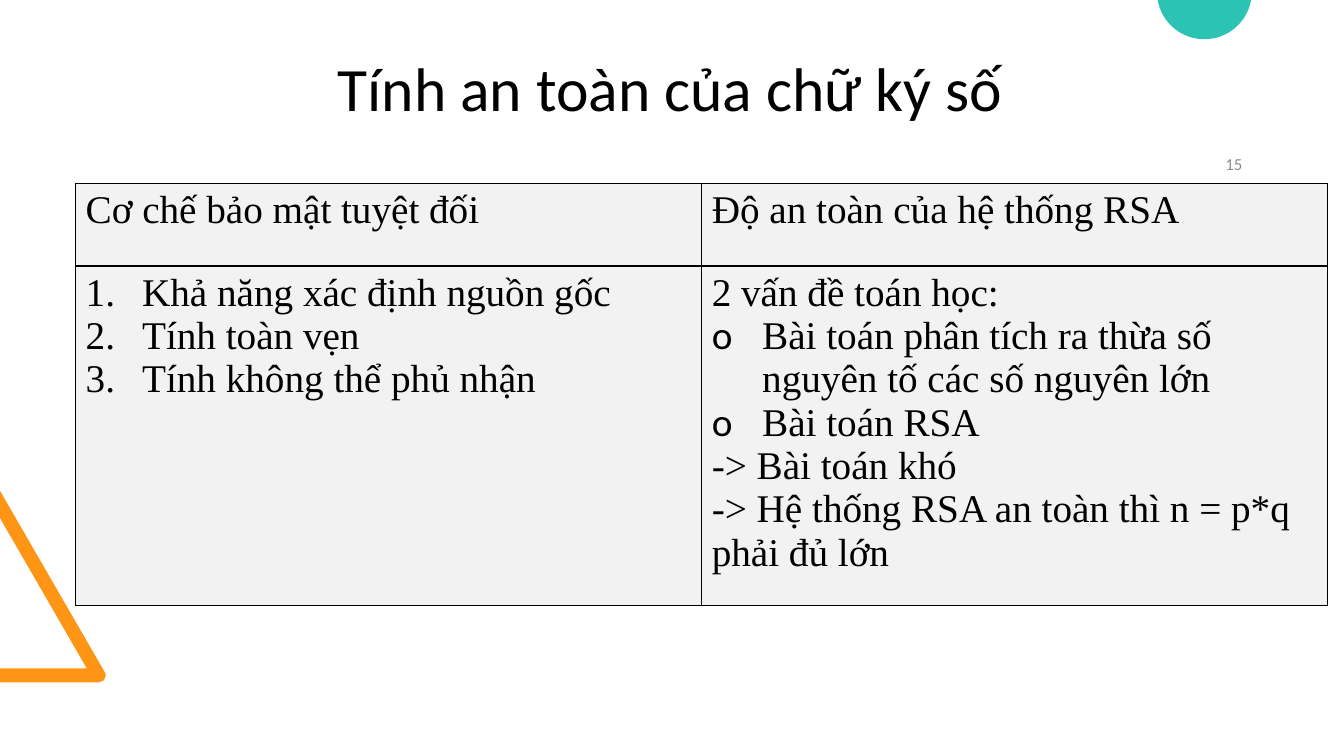
"""Builds the slide on the security of digital signatures."""
from math import cos, radians, sin

from lxml.etree import SubElement
from pptx import Presentation
from pptx.dml.color import RGBColor
from pptx.enum.text import MSO_ANCHOR, PP_ALIGN
from pptx.oxml.ns import qn
from pptx.util import Inches, Pt

ORANGE = RGBColor(0xFF, 0x95, 0x14)
TEAL = RGBColor(0x2C, 0xC3, 0xB4)
BLACK = RGBColor(0x00, 0x00, 0x00)
GRAY = RGBColor(0x8C, 0x8C, 0x8C)
PALE = RGBColor(0xF2, 0xF2, 0xF2)

deck = Presentation()
deck.slide_width = Inches(13.33)
deck.slide_height = Inches(7.5)
slide = deck.slides.add_slide(deck.slide_layouts[5])
shapes = slide.shapes


def style(para, size, face, color):
    para.font.size = Pt(size)
    para.font.name = face
    para.font.color.rgb = color


frame = [(0, 6.77), (0, 6.63), (0.86, 6.63), (0, 5.14), (0, 4.87),
         (1.04, 6.67), (1.05, 6.7), (1.03, 6.75), (0.98, 6.77)]
arc = [(11.945 + 0.47 * cos(radians(turn)), 0.47 * sin(radians(turn)) - 0.08)
       for turn in range(10, 171, 5)]
for points, color in ((frame, ORANGE), (arc, TEAL)):
    dots = [(Inches(x), Inches(y)) for x, y in points]
    pen = shapes.build_freeform(*dots[0])
    pen.add_line_segments(dots[1:], close=True)
    form = pen.convert_to_shape()
    form.shadow.inherit = False
    form.fill.solid()
    form.fill.fore_color.rgb = color
    form.line.fill.background()

title = shapes.title
title.left, title.top = Inches(3.25), Inches(0.18)
title.width, title.height = Inches(7.86), Inches(1.45)
title.text_frame.vertical_anchor = MSO_ANCHOR.MIDDLE
para = title.text_frame.paragraphs[0]
para.text = "Tính an toàn của chữ ký số"
para.alignment = PP_ALIGN.LEFT
para.line_spacing = 0.9
style(para, 44, "Calibri", BLACK)

number = shapes.add_textbox(Inches(9.42), Inches(1.43), Inches(3), Inches(0.4))
number.text_frame.word_wrap = True
number.text_frame.vertical_anchor = MSO_ANCHOR.MIDDLE
para = number.text_frame.paragraphs[0]
para.text = "15"
para.alignment = PP_ALIGN.RIGHT
style(para, 12, "Calibri", GRAY)

rows = [
    [[("Cơ chế bảo mật tuyệt đối", "")],
     [("Độ an toàn của hệ thống RSA", "")]],
    [[("Khả năng xác định nguồn gốc", "1."),
      ("Tính toàn vẹn", "1."),
      ("Tính không thể phủ nhận", "1.")],
     [("2 vấn đề toán học:", ""),
      ("Bài toán phân tích ra thừa số nguyên tố các số nguyên lớn", "o"),
      ("Bài toán RSA", "o"),
      ("-> Bài toán khó", ""),
      ("-> Hệ thống RSA an toàn thì n = p*q phải đủ lớn", "")]],
]
table = shapes.add_table(2, 2, Inches(0.75), Inches(1.82),
                         Inches(12.42), Inches(3.93)).table
table.rows[0].height, table.rows[1].height = Inches(0.82), Inches(3.11)

for r, row in enumerate(rows):
    for c, lines in enumerate(row):
        cell = table.cell(r, c)
        props = cell._tc.get_or_add_tcPr()
        for side in ("lnL", "lnR", "lnT", "lnB"):
            edge = SubElement(props, qn(f"a:{side}"), w=str(Pt(1)))
            fill = SubElement(edge, qn("a:solidFill"))
            SubElement(fill, qn("a:srgbClr"), val=str(BLACK))
        cell.fill.solid()
        cell.fill.fore_color.rgb = PALE
        text = cell.text_frame
        for i, (line, mark) in enumerate(lines):
            para = text.add_paragraph() if i else text.paragraphs[0]
            para.text = line
            if mark:
                indent = Inches(0.56 if mark == "1." else 0.5)
                props = para._p.get_or_add_pPr()
                props.set("marL", str(indent))
                props.set("indent", str(-indent))
                if mark == "1.":
                    SubElement(props, qn("a:buAutoNum"), type="arabicPeriod")
                else:
                    SubElement(props, qn("a:buFont"), typeface="Calibri")
                    SubElement(props, qn("a:buChar"), char=mark)
            style(para, 28, "Times New Roman", BLACK)
            para.font.bold = False

deck.save("out.pptx")
